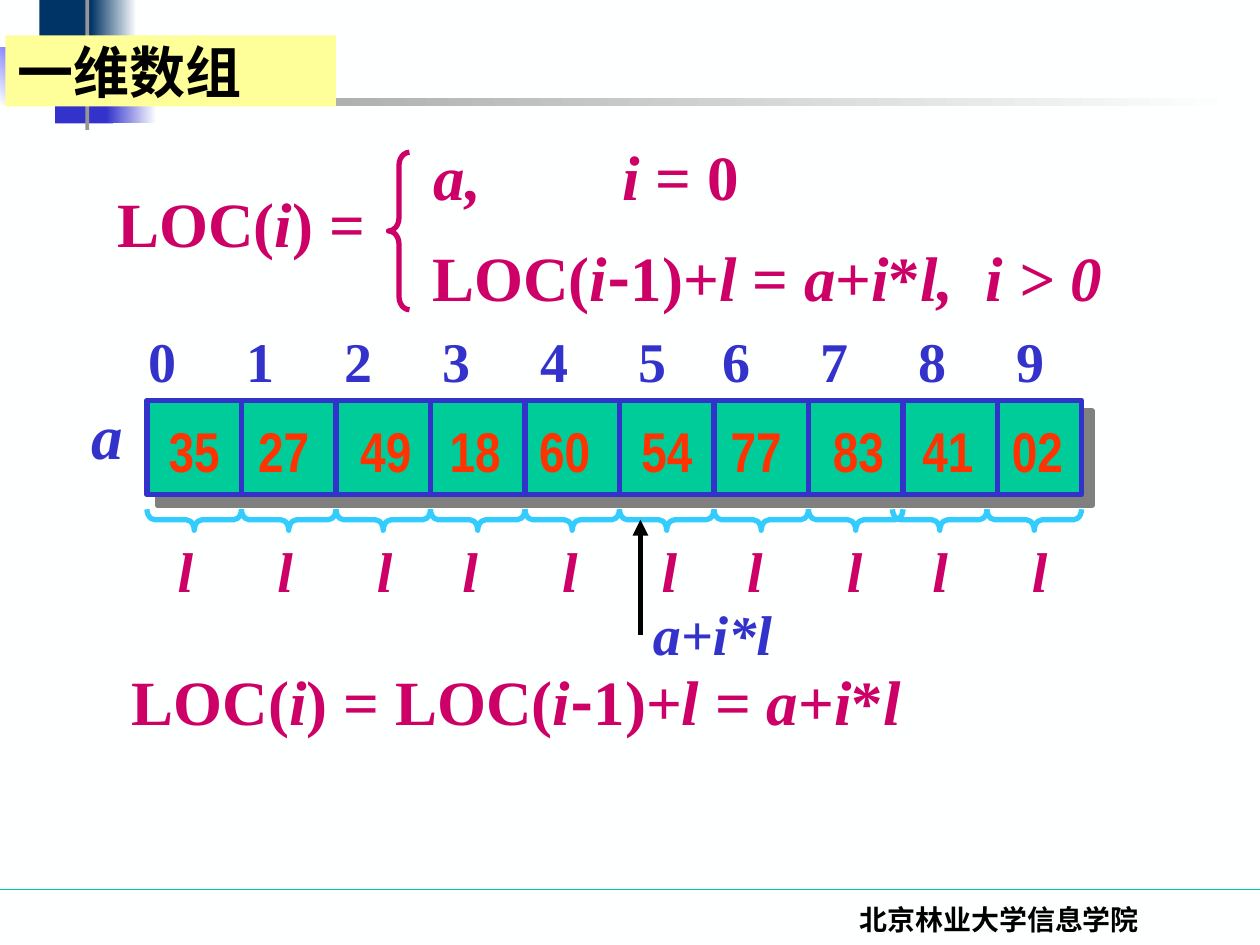
from dataclasses import dataclass
from itertools import accumulate

from lxml.etree import SubElement as Sub
from pptx import Presentation as Deck
from pptx.dml.color import RGBColor as Rgb
from pptx.enum.shapes import MSO_CONNECTOR as Join, MSO_SHAPE as Kind
from pptx.enum.text import MSO_ANCHOR as Anchor, MSO_AUTO_SIZE as Fit, PP_ALIGN as Align
from pptx.oxml.ns import qn
from pptx.util import Pt


@dataclass(frozen=True)
class Theme:
    paper: str = "FEFFFF"
    ink: str = "000000"
    navy: str = "003366"
    blue: str = "3333CC"
    bright: str = "0000FF"
    sky: str = "33CCFF"
    green: str = "00CC99"
    gray: str = "969696"
    shade: str = "808080"
    cream: str = "FFFF99"
    rose: str = "CC0066"
    red: str = "FF3300"
    serif: str = "Times New Roman"
    slim: str = "Arial Narrow"
    sans: str = "Noto Sans CJK SC"
    large: int = 36
    mid: int = 32
    small: int = 16
    thick: float = 3
    thin: float = 0.75


class Page:
    scale = 9525

    def __init__(self, theme, wide, high):
        self.theme = theme
        self.deck = Deck()
        self.deck.slide_width, self.deck.slide_height = self.emu(wide, high)
        self.slide = self.deck.slides.add_slide(self.deck.slide_layouts[5])
        self.paint(self.slide.background.fill, theme.paper)

    def emu(self, *marks):
        return [mark * self.scale for mark in marks]

    def paint(self, fill, color):
        fill.solid()
        fill.fore_color.rgb = Rgb.from_string(color)

    def stroke(self, line, color, width):
        self.paint(line.fill, color)
        line.width = Pt(width)

    def shape(self, kind, box):
        item = self.slide.shapes.add_shape(kind, *self.emu(*box))
        item.shadow.inherit = False
        return item

    def block(self, box, color, fade=None, angle=0):
        item = self.shape(Kind.RECTANGLE, box)
        item.line.fill.background()
        if fade:
            item.fill.gradient()
            item.fill.gradient_angle = angle
            for stop, tone in zip(item.fill.gradient_stops, (color, fade)):
                stop.color.rgb = Rgb.from_string(tone)
        else:
            self.paint(item.fill, color)
        return item

    def shade(self, item, reach):
        glow = item._element.spPr.find(qn("a:effectLst"))
        cast = Sub(glow, qn("a:outerShdw"), dist=str(Pt(reach)), dir="2700000",
                   algn="ctr", rotWithShape="0")
        Sub(cast, qn("a:srgbClr"), val=self.theme.shade)

    def brace(self, box, color, curve, turn=0):
        item = self.shape(Kind.LEFT_BRACE, box)
        item.fill.background()
        self.stroke(item.line, color, self.theme.thick)
        item.adjustments[0] = curve
        item.rotation = turn

    def line(self, ends, color, width, arrow=False):
        item = self.slide.shapes.add_connector(Join.STRAIGHT, *self.emu(*ends))
        self.stroke(item.line, color, width)
        props = item._element.spPr
        if arrow:
            Sub(props.find(qn("a:ln")), qn("a:tailEnd"), type="triangle")
        Sub(props, qn("a:effectLst"))

    def letter(self, frame, text, color, size, face=None, tabs=(), align=Align.LEFT):
        face = face or self.theme.serif
        frame.word_wrap = True
        frame.auto_size = Fit.NONE
        para = frame.paragraphs[0]
        para.alignment = align
        if tabs:
            stops = Sub(para._p.get_or_add_pPr(), qn("a:tabLst"))
            for tab in tabs:
                Sub(stops, qn("a:tab"), pos=str(Pt(tab)), algn="l")
        for place, part in enumerate(text.split("|")):
            for piece in part.replace("-", "\n-\n").split("\n"):
                if not piece:
                    continue
                run = para.add_run()
                run.text = piece
                style = {"name": self.theme.sans if piece == "-" else face,
                         "size": Pt(size), "bold": True, "italic": place % 2 == 1}
                for key, value in style.items():
                    setattr(run.font, key, value)
                run.font.color.rgb = Rgb.from_string(color)
                Sub(run._r.rPr, qn("a:ea"), typeface=self.theme.sans)

    def text(self, box, *words, **style):
        item = self.slide.shapes.add_textbox(*self.emu(*box))
        self.letter(item.text_frame, *words, **style)

    def row(self, box, words, color, glyph, space, gaps, slant="", face=None):
        tabs = list(accumulate(glyph + space * int(gap) for gap in gaps))
        self.text(box, slant + "\t".join(words), color, self.theme.mid, face=face, tabs=tabs)

    def title(self, box, words):
        item = self.slide.shapes.title
        item.left, item.top, item.width, item.height = self.emu(*box)
        self.paint(item.fill, self.theme.cream)
        item.text_frame.vertical_anchor = Anchor.MIDDLE
        self.letter(item.text_frame, words, self.theme.ink, self.theme.mid, face=self.theme.sans)
        item._element.getparent().append(item._element)


def main():
    look = Theme()
    page = Page(look, 960, 720)

    page.line((0, 678, 960, 678), look.green, look.thin)
    page.block((30, 0, 46, 50), look.navy)
    page.block((69, 0, 35, 50), look.navy, look.paper)
    page.block((42, 44, 44, 50), look.blue)
    page.block((81, 44, 38, 50), look.blue, look.paper)
    page.block((0, 36, 58, 44), look.paper, look.bright, 45)
    page.block((65, 0, 3, 99), look.gray)
    page.block((32, 75, 913, 6), look.gray, look.paper)
    page.text((563, 683, 397, 48), "北京林业大学信息学院", look.ink, look.small, align=Align.CENTER)
    page.title((4, 27, 252, 54), "一维数组")

    left, top, cell, count = 112, 305, 72, 10
    base = top + cell
    bar = page.block((left, top, 712, cell), look.green)
    page.stroke(bar.line, look.blue, look.thick)
    page.shade(bar, 8.5)
    page.row((119, 313, 709, 61), "35 27 49 18 60 54 77 83 41 02".split(), look.red,
             29.2, 7.3, "343343433", face=look.slim)
    for spot in range(1, count):
        edge = left + spot * cell
        page.line((edge, top, edge, base), look.blue, look.thick)
    page.row((104, 244, 711, 61), "0123456789", look.blue, 16, 8, "555554555")
    for spot in range(count):
        shift = 8 if spot >= 8 else 0
        page.brace((left + 28 + spot * cell - shift, 360, 16, cell), look.sky, 0.375, 270)
    page.row((126, 404, 712, 61), "l" * count, look.rose, 8.9, 8, "665665656", slant="|")

    step = "LOC(|i|-1)+|l| = |a|+|i|*|l"
    page.text((91, 500, 805, 67), "LOC(|i|) = " + step, look.rose, look.large)
    page.brace((296, 116, 16, 120), look.rose, 0.625)
    page.text((80, 136, 216, 67), "LOC(|i|) =", look.rose, look.large)
    page.text((320, 177, 552, 67), step + ",\ti > 0", look.rose, look.large, tabs=[316])
    page.text((321, 100, 312, 67), "|a,\ti |= 0", look.rose, look.large, tabs=[108])
    page.line((488, 484, 488, 396), look.ink, look.thick, arrow=True)
    page.text((488, 452, 118, 61), "|a+i*l", look.blue, look.mid)
    page.text((60, 297, 48, 67), "|a", look.blue, look.large)

    page.deck.save("out.pptx")


if __name__ == "__main__":
    main()
